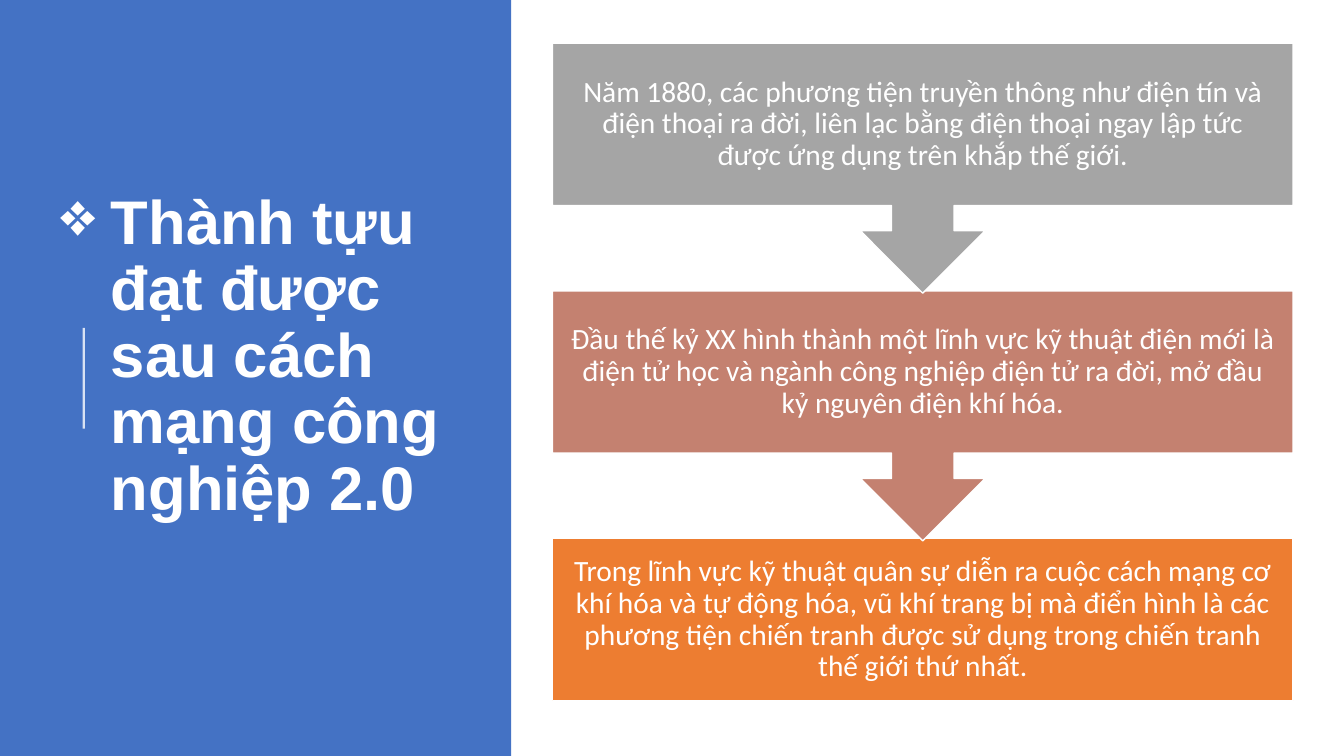
from lxml import etree
from pptx import Presentation
from pptx.dml.color import RGBColor
from pptx.enum.shapes import MSO_CONNECTOR, MSO_SHAPE
from pptx.enum.text import MSO_ANCHOR, MSO_AUTO_SIZE, PP_ALIGN
from pptx.oxml.ns import qn
from pptx.util import Cm, Pt

RECT = MSO_SHAPE.RECTANGLE
CALLOUT = MSO_SHAPE.DOWN_ARROW_CALLOUT
MIDDLE = MSO_ANCHOR.MIDDLE
LEFT, CENTER = PP_ALIGN.LEFT, PP_ALIGN.CENTER

COLORS = {
    "panel": "4472C4",
    "white": "FFFFFF",
    "gray": "A5A5A5",
    "clay": "C48170",
    "orange": "ED7D31",
}

TITLE = "Thành tựu đạt được sau cách mạng công nghiệp 2.0"
STEPS = [
    ("gray", "Năm 1880, các phương tiện truyền thông như điện tín và điện thoại "
             "ra đời, liên lạc bằng điện thoại ngay lập tức được ứng dụng trên "
             "khắp thế giới."),
    ("clay", "Đầu thế kỷ XX hình thành một lĩnh vực kỹ thuật điện mới là điện tử "
             "học và ngành công nghiệp điện tử ra đời, mở đầu kỷ nguyên điện khí "
             "hóa."),
    ("orange", "Trong lĩnh vực kỹ thuật quân sự diễn ra cuộc cách mạng cơ khí hóa "
               "và tự động hóa, vũ khí trang bị mà điển hình là các phương tiện "
               "chiến tranh được sử dụng trong chiến tranh thế giới thứ nhất."),
]

STEP_LEFT, STEP_TOP, STEP_WIDTH = 13.92, 1.09, 18.67
STEP_PITCH = 6.24
BOX_HEIGHT, CALLOUT_HEIGHT = 4.09, 6.3


def color(name):
    return RGBColor.from_string(COLORS[name])


def write(tf, text, font, size, align, bold=False):
    tf.text = text
    tf.word_wrap = True
    tf.auto_size = MSO_AUTO_SIZE.NONE
    tf.vertical_anchor = MIDDLE
    p = tf.paragraphs[0]
    p.alignment = align
    p.line_spacing = 0.9
    r = p.runs[0]
    r.font.name = font
    r.font.size = Pt(size)
    r.font.bold = bold
    r.font.color.rgb = color("white")


def add_block(slide, preset, left, top, width, height, fill):
    sp = slide.shapes.add_shape(preset, Cm(left), Cm(top), Cm(width), Cm(height))
    sp.shadow.inherit = False
    sp.fill.solid()
    sp.fill.fore_color.rgb = color(fill)
    sp.line.fill.background()
    return sp


def add_panel(slide):
    """Draw the blue panel behind the title."""
    panel = add_block(slide, RECT, 0, 0, 12.88, 19.05, "panel")
    slide.shapes._spTree.insert(2, panel._element)


def set_title(slide):
    title = slide.shapes.title
    title.left, title.top = Cm(1.27), Cm(1.09)
    title.width, title.height = Cm(10.21), Cm(15.82)
    write(title.text_frame, TITLE, "Arial", 44, LEFT, bold=True)
    pPr = title.text_frame.paragraphs[0]._p.get_or_add_pPr()
    pPr.set("marL", str(Cm(1.27)))
    pPr.set("indent", str(Cm(-1.27)))
    etree.SubElement(pPr, qn("a:buChar")).set("char", "❖")


def add_accent_line(slide):
    line = slide.shapes.add_connector(
        MSO_CONNECTOR.STRAIGHT, Cm(2.11), Cm(10.8), Cm(2.11), Cm(8.26))
    line.line.color.rgb = color("white")
    line.line.width = Pt(1.5)
    spPr = line._element.spPr
    rgb = spPr.find(".//" + qn("a:srgbClr"))
    etree.SubElement(rgb, qn("a:alpha")).set("val", "80000")
    etree.SubElement(spPr, qn("a:effectLst"))


def add_step(slide, index, fill, text):
    """Add one step; every step but the last points down to the next."""
    last = index == len(STEPS) - 1
    preset, height = (RECT, BOX_HEIGHT) if last else (CALLOUT, CALLOUT_HEIGHT)
    sp = add_block(slide, preset, STEP_LEFT, STEP_TOP + index * STEP_PITCH,
                   STEP_WIDTH, height, fill)
    if not last:
        sp.adjustments[3] = BOX_HEIGHT / CALLOUT_HEIGHT
    sp.line.color.rgb = color("white")
    sp.line.width = Pt(1)
    tf = sp.text_frame
    tf.margin_left = tf.margin_right = tf.margin_top = tf.margin_bottom = Cm(0.41)
    write(tf, text, "Calibri", 21, CENTER)


def main():
    prs = Presentation()
    prs.slide_width, prs.slide_height = Cm(33.87), Cm(19.05)
    slide = prs.slides.add_slide(prs.slide_layouts[5])
    add_panel(slide)
    set_title(slide)
    add_accent_line(slide)
    for index, (fill, text) in reversed(list(enumerate(STEPS))):
        add_step(slide, index, fill, text)
    prs.save("out.pptx")


if __name__ == "__main__":
    main()
